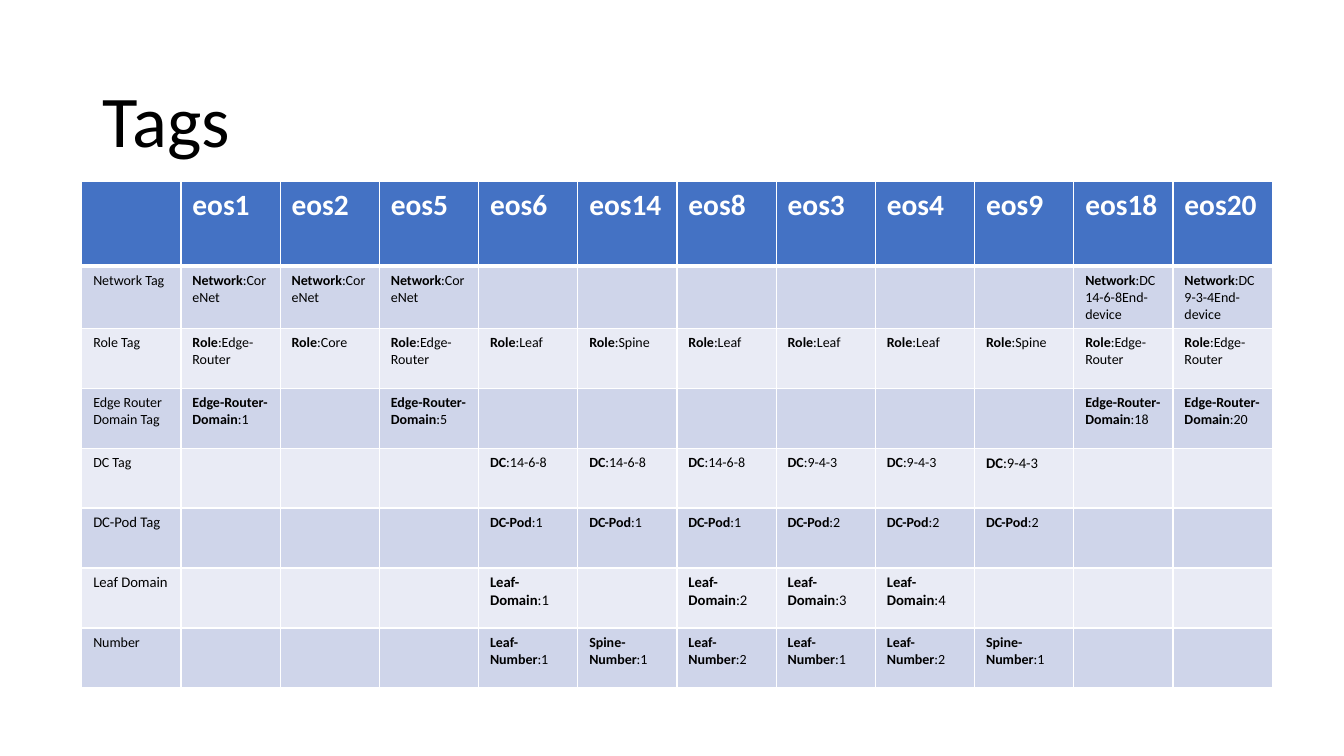
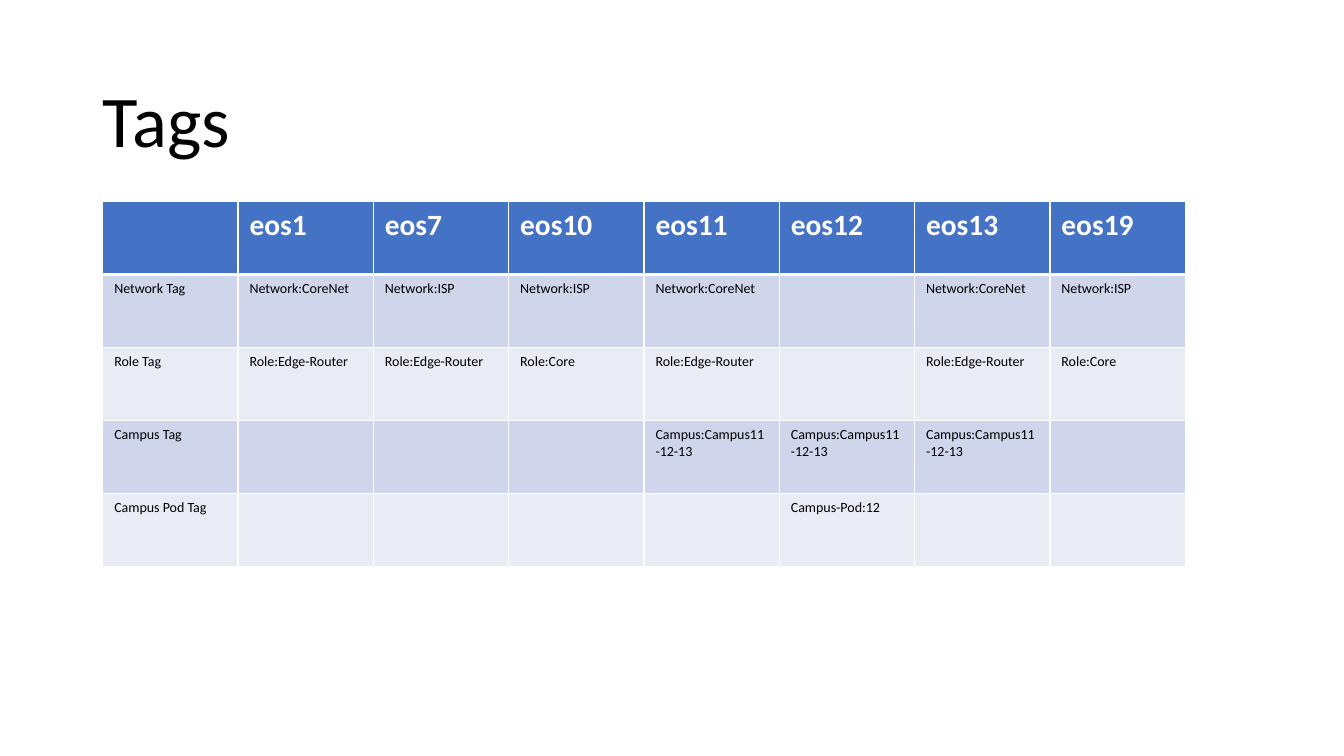
from dataclasses import dataclass

import pptx
import pptx.dml.color
import pptx.enum.text
import pptx.oxml
import pptx.oxml.ns
import pptx.util

Cm = pptx.util.Cm
Pt = pptx.util.Pt
RGBColor = pptx.dml.color.RGBColor

FONT = "Calibri"
BLACK = RGBColor(0x00, 0x00, 0x00)
WHITE = RGBColor(0xFF, 0xFF, 0xFF)
HEADER_BLUE = RGBColor(0x44, 0x72, 0xC4)
BANDS = (RGBColor(0xCF, 0xD5, 0xEA), RGBColor(0xE9, 0xEB, 0xF5))
HEADER_SIZE = 21
BODY_SIZE = 10
LARGER_SIZE = 10.5
THIN, THICK = 1, 3


@dataclass(frozen=True)
class TagTable:
    left: float
    top: float
    col_width: float
    header_height: float
    row_height: float
    rows: tuple[tuple[str, ...], ...]
    bold_keys: bool = False
    larger: frozenset[tuple[int, int]] = frozenset()


BLANK = ("",)
EDGE = "Role:Edge-Router"
CORE_NET = "Network:CoreNet"
CAMPUS = "Campus:Campus11-12-13"

DATA_CENTRE = TagTable(
    left=2.06, top=4.57, col_width=2.5, header_height=2.13, row_height=1.51,
    bold_keys=True,
    larger=frozenset({(4, 9), (5, 0)} | {(6, col) for col in range(12)}),
    rows=(
        ("", "eos1", "eos2", "eos5", "eos6", "eos14", "eos8", "eos3", "eos4",
         "eos9", "eos18", "eos20"),
        ("Network Tag", *(CORE_NET,) * 3, *BLANK * 6,
         "Network:DC14-6-8End-device", "Network:DC9-3-4End-device"),
        ("Role Tag", EDGE, "Role:Core", EDGE, "Role:Leaf", "Role:Spine",
         *("Role:Leaf",) * 3, "Role:Spine", EDGE, EDGE),
        ("Edge Router Domain Tag", "Edge-Router-Domain:1", "",
         "Edge-Router-Domain:5", *BLANK * 6, "Edge-Router-Domain:18",
         "Edge-Router-Domain:20"),
        ("DC Tag", *BLANK * 3, *("DC:14-6-8",) * 3, *("DC:9-4-3",) * 3,
         *BLANK * 2),
        ("DC-Pod Tag", *BLANK * 3, *("DC-Pod:1",) * 3, *("DC-Pod:2",) * 3,
         *BLANK * 2),
        ("Leaf Domain", *BLANK * 3, "Leaf-Domain:1", "", "Leaf-Domain:2",
         "Leaf-Domain:3", "Leaf-Domain:4", *BLANK * 3),
        ("Number", *BLANK * 3, "Leaf-Number:1", "Spine-Number:1",
         "Leaf-Number:2", "Leaf-Number:1", "Leaf-Number:2", "Spine-Number:1",
         *BLANK * 2),
    ),
)

CAMPUS_NETWORK = TagTable(
    left=2.59, top=5.08, col_width=3.41, header_height=1.84, row_height=1.84,
    rows=(
        ("", "eos1", "eos7", "eos10", "eos11", "eos12", "eos13", "eos19"),
        ("Network Tag", CORE_NET, "Network:ISP", "Network:ISP", CORE_NET, "",
         CORE_NET, "Network:ISP"),
        ("Role Tag", EDGE, EDGE, "Role:Core", EDGE, "", EDGE, "Role:Core"),
        ("Campus Tag", *BLANK * 3, *(CAMPUS,) * 3, ""),
        ("Campus Pod Tag", *BLANK * 4, "Campus-Pod:12", *BLANK * 2),
    ),
)


def add_title(slide: pptx.slide.Slide, text: str) -> None:
    sp = slide.shapes.add_textbox(Cm(2.34), Cm(1.55), Cm(29.21), Cm(3.15))
    tf = sp.text_frame
    tf.word_wrap = True
    tf.vertical_anchor = pptx.enum.text.MSO_ANCHOR.MIDDLE
    p = tf.paragraphs[0]
    p.text = text
    p.line_spacing = 0.9
    p.font.name = FONT
    p.font.size = Pt(52)
    p.font.color.rgb = BLACK


def set_borders(cell: pptx.table._Cell, row: int) -> None:
    tc_pr = cell._tc.get_or_add_tcPr()
    widths = {
        "L": THIN,
        "R": THIN,
        "T": THICK if row == 1 else THIN,
        "B": THICK if row == 0 else THIN,
    }
    for side, width in widths.items():
        tc_pr.append(pptx.oxml.parse_xml(
            f'<a:ln{side} {pptx.oxml.ns.nsdecls("a")} w="{Pt(width)}">'
            f'<a:solidFill><a:srgbClr val="{WHITE}"/></a:solidFill>'
            f'</a:ln{side}>'
        ))


def fill_cell(cell: pptx.table._Cell, text: str, row: int, size: float,
              bold_key: bool) -> None:
    header = row == 0
    set_borders(cell, row)
    cell.fill.solid()
    cell.fill.fore_color.rgb = HEADER_BLUE if header else BANDS[(row - 1) % 2]
    cell.margin_left = cell.margin_right = Cm(0.29)
    cell.margin_top = cell.margin_bottom = Cm(0.15)
    p = cell.text_frame.paragraphs[0]
    p.font.name = FONT
    p.font.size = Pt(size)
    p.font.bold = header
    p.font.color.rgb = WHITE if header else BLACK
    key, colon, value = text.partition(":")
    if bold_key and colon:
        r = p.add_run()
        r.text = key
        r.font.bold = True
        p.add_run().text = colon + value
    elif text:
        p.add_run().text = text


def add_tag_table(slide: pptx.slide.Slide, spec: TagTable) -> None:
    n_rows, n_cols = len(spec.rows), len(spec.rows[0])
    height = spec.header_height + spec.row_height * (n_rows - 1)
    table = slide.shapes.add_table(
        n_rows, n_cols, Cm(spec.left), Cm(spec.top),
        Cm(spec.col_width * n_cols), Cm(height),
    ).table
    for column in table.columns:
        column.width = Cm(spec.col_width)
    for i, texts in enumerate(spec.rows):
        table.rows[i].height = Cm(spec.row_height if i else spec.header_height)
        for j, text in enumerate(texts):
            body = LARGER_SIZE if (i, j) in spec.larger else BODY_SIZE
            size = body if i else HEADER_SIZE
            fill_cell(table.cell(i, j), text, i, size, spec.bold_keys)


def main() -> None:
    prs = pptx.Presentation()
    prs.slide_width = Cm(33.87)
    prs.slide_height = Cm(19.05)
    for tag_table in (DATA_CENTRE, CAMPUS_NETWORK):
        s = prs.slides.add_slide(prs.slide_layouts[6])
        add_title(s, "Tags")
        add_tag_table(s, tag_table)
    prs.save("out.pptx")


if __name__ == "__main__":
    main()
